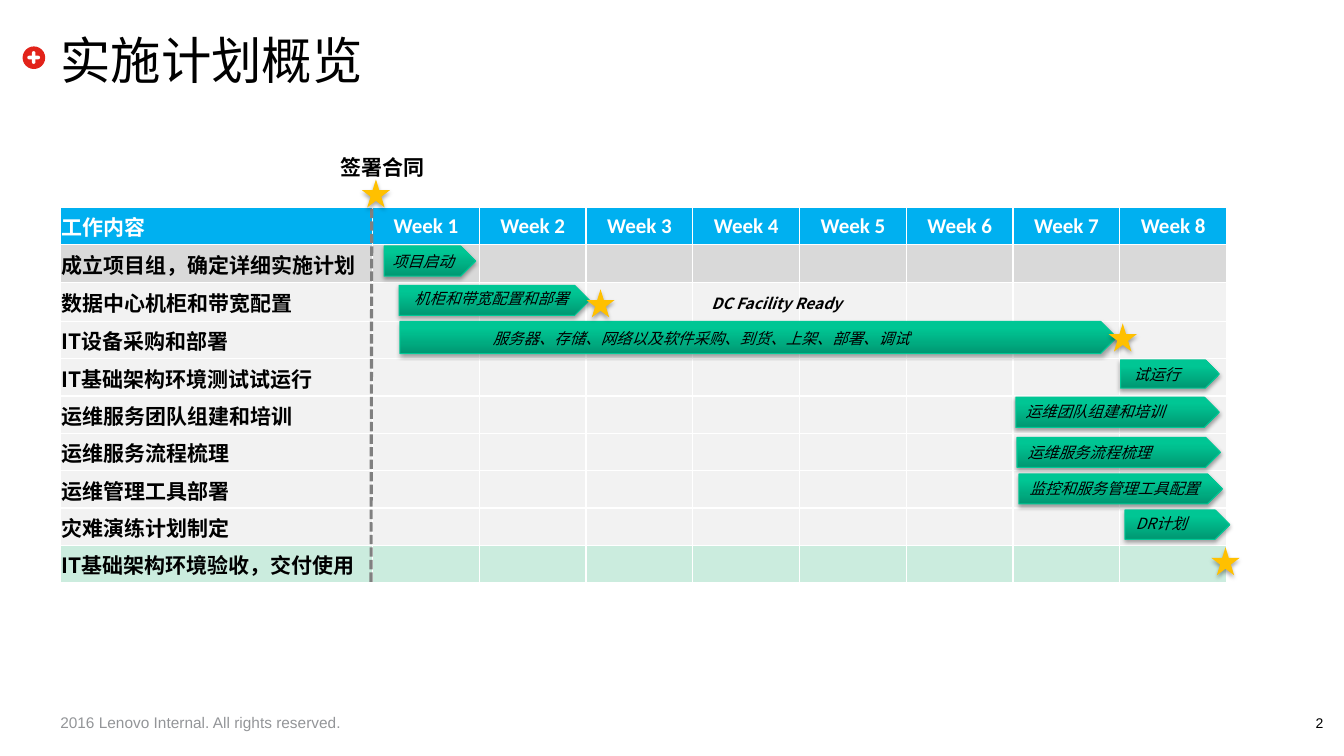
from lxml import etree
from pptx import Presentation
from pptx.dml.color import RGBColor
from pptx.enum.dml import MSO_LINE
from pptx.enum.shapes import MSO_CONNECTOR, MSO_SHAPE
from pptx.enum.text import MSO_ANCHOR, MSO_AUTO_SIZE, PP_ALIGN
from pptx.oxml.ns import qn
from pptx.util import Cm, Pt

LEFT, MID = PP_ALIGN.LEFT, PP_ALIGN.CENTER
CENTER, BOTTOM = MSO_ANCHOR.MIDDLE, MSO_ANCHOR.BOTTOM
GROW, FIXED = MSO_AUTO_SIZE.SHAPE_TO_FIT_TEXT, MSO_AUTO_SIZE.NONE
PLATE, STAR = MSO_SHAPE.PENTAGON, MSO_SHAPE.STAR_5_POINT
OVAL, ROUND = MSO_SHAPE.OVAL, MSO_SHAPE.ROUNDED_RECTANGLE
STRAIGHT, DASH = MSO_CONNECTOR.STRAIGHT, MSO_LINE.SQUARE_DOT

# Content
HEX = {"black": "000000", "white": "FFFFFF", "head": "00B0F0",
       "gray": "D9D9D9", "pale": "F2F2F2", "mint": "CBECDE",
       "deep": "009872", "green": "00C694", "edge": "00C896",
       "gold": "FFC000", "dash": "808080", "foot": "939598",
       "red": "E2231A"}
CJK, LATIN, PLAIN = "Noto Sans CJK SC", "Calibri", "Arial"
TITLE = "实施计划概览"
FOOTER = "2016 Lenovo Internal. All rights reserved."
WEEKS = 8
TASKS = [
    ("成立项目组，确定详细实施计划", "gray"),
    ("数据中心机柜和带宽配置", "pale"),
    ("IT设备采购和部署", "pale"),
    ("IT基础架构环境测试试运行", "pale"),
    ("运维服务团队组建和培训", "pale"),
    ("运维服务流程梳理", "pale"),
    ("运维管理工具部署", "pale"),
    ("灾难演练计划制定", "pale"),
    ("IT基础架构环境验收，交付使用", "mint"),
]
# Label, box of the bar, box of the label (left, top, width, height in cm)
BARS = [
    ("项目启动", (9.68, 6.2, 2.31, 0.76), (9.63, 6.25, 2.08, 0.74)),
    ("机柜和带宽配置和部署", (10.06, 7.19, 4.8, 0.76),
     (10.19, 7.19, 4.42, 0.69)),
    ("服务器、存储、网络以及软件采购、到货、上架、部署、调试",
     (10.08, 8.1, 18.06, 0.81), (12.17, 8.2, 11.1, 0.69)),
    ("试运行", (28.24, 9.07, 2.49, 0.71), (28.32, 9.09, 1.68, 0.74)),
    ("运维团队组建和培训", (25.6, 10.01, 5.13, 0.76),
     (25.6, 10.06, 4.04, 0.69)),
    ("运维服务流程梳理", (25.63, 11.02, 5.13, 0.76),
     (25.65, 11.07, 3.66, 0.69)),
    ("监控和服务管理工具配置", (25.68, 11.94, 5.13, 0.76),
     (25.7, 11.99, 4.83, 0.69)),
    ("DR计划", (28.35, 12.85, 2.64, 0.74), (28.37, 12.88, 2.62, 0.69)),
]
STARS = [(9.12, 4.52), (14.78, 7.29), (27.94, 8.15), (30.53, 13.79)]
STAR_W = 0.71
COL_ONE, COL_W, ROW_H, TALL_H = 7.87, 2.69, 0.94, 0.99


def rgb(name):
    return RGBColor.from_string(HEX[name])


def box(sizes):
    return [Cm(n) for n in sizes]


def sub(node, tag, **attrs):
    return etree.SubElement(node, qn(tag), attrs)


def style(frame, text, size, face, color="black", align=LEFT,
          bold=False, slant=False):
    frame.text = text
    par = frame.paragraphs[0]
    par.alignment = align
    run = par.runs[0]
    font = run.font
    font.size, font.name = Pt(size), face
    font.bold, font.italic = bold, slant
    font.color.rgb = rgb(color)
    sub(font._element, "a:ea", typeface=CJK)
    return par


def label(slide, text, sizes, size, face, pad=(0, 0), wrap=True,
          anchor=CENTER, fit=FIXED, space=None, **look):
    frame = slide.shapes.add_textbox(*box(sizes)).text_frame
    frame.word_wrap, frame.auto_size = wrap, fit
    frame.vertical_anchor = anchor
    frame.margin_left = frame.margin_right = Cm(pad[0])
    frame.margin_top = frame.margin_bottom = Cm(pad[1])
    par = style(frame, text, size, face, **look)
    if space:
        par.line_spacing = space


def shape(slide, kind, sizes, color=None, shade=False):
    item = slide.shapes.add_shape(kind, *box(sizes))
    item.shadow.inherit = False
    item.line.fill.background()
    if color:
        item.fill.solid()
        item.fill.fore_color.rgb = rgb(color)
    if shade:
        effect = item._element.spPr.find(qn("a:effectLst"))
        outer = sub(effect, "a:outerShdw", blurRad="39370", dist="22860",
                    dir="5400000", rotWithShape="0")
        tint = sub(outer, "a:srgbClr", val=HEX["black"])
        sub(tint, "a:alpha", val="35000")
    return item


def paint(cell, color):
    cell.fill.solid()
    cell.fill.fore_color.rgb = rgb(color)
    cell.vertical_anchor = CENTER
    cell.margin_left = cell.margin_right = cell.margin_top = Cm(0.03)
    cell.margin_bottom = 0
    props = cell._tc.get_or_add_tcPr()
    for spot, side in enumerate(("a:lnL", "a:lnR", "a:lnT", "a:lnB")):
        edge = sub(props, side, w="12700")
        sub(sub(edge, "a:solidFill"), "a:srgbClr", val=HEX["white"])
        props.insert(spot, edge)


def plan(slide):
    high = ROW_H * len(TASKS) + TALL_H
    wide = COL_ONE + COL_W * WEEKS
    table = slide.shapes.add_table(len(TASKS) + 1, WEEKS + 1,
                                   *box((1.52, 5.23, wide, high))).table
    table.horz_banding = False
    for i, col in enumerate(table.columns):
        col.width = Cm(COL_W if i else COL_ONE)
    for i, row in enumerate(table.rows):
        row.height = Cm(TALL_H if i == 2 else ROW_H)
        for cell in row.cells:
            paint(cell, TASKS[i - 1][1] if i else "head")
    heads = ["工作内容"] + [f"Week {n + 1}" for n in range(WEEKS)]
    for i, text in enumerate(heads):
        style(table.cell(0, i).text_frame, text, 15, LATIN, "white",
              MID if i else LEFT, bold=True)
    for i, (text, _) in enumerate(TASKS):
        style(table.cell(i + 1, 0).text_frame, text, 15, CJK, bold=True)


def main():
    deck = Presentation()
    deck.slide_width, deck.slide_height = Cm(33.87), Cm(19.05)
    slide = deck.slides.add_slide(deck.slide_layouts[5])

    # Title and its round plus mark
    title = slide.shapes.title
    title.left, title.top, title.width, title.height = box(
        (1.52, 0.76, 30.76, 1.45))
    frame = title.text_frame
    frame.margin_left = frame.margin_right = 0
    frame.margin_top = frame.margin_bottom = 0
    frame.vertical_anchor, frame.auto_size = CENTER, FIXED
    style(frame, TITLE, 36, CJK)
    shape(slide, OVAL, (0.57, 1.17, 0.57, 0.57), "red")
    for wide, high in ((0.32, 0.09), (0.09, 0.32)):
        bar = shape(slide, ROUND, (0.85 - wide / 2, 1.45 - high / 2,
                                   wide, high), "white")
        bar.adjustments[0] = 0.5

    # Schedule table and contract date line
    plan(slide)
    line = slide.shapes.add_connector(STRAIGHT,
                                      *box((9.37, 5.26, 9.35, 14.66)))
    line.line.color.rgb = rgb("dash")
    line.line.width, line.line.dash_style = Pt(2.25), DASH
    sub(line._element.spPr, "a:effectLst")

    # Bars with labels
    for text, area, spot in BARS:
        bar = shape(slide, PLATE, area, shade=True)
        bar.fill.gradient()
        bar.fill.gradient_angle = 90
        stops = zip(bar.fill.gradient_stops, ("deep", "green"), (0, 0.8))
        for stop, color, place in stops:
            stop.color.rgb, stop.position = rgb(color), place
        bar.line.color.rgb, bar.line.width = rgb("edge"), Pt(0.75)
        label(slide, text, spot, 11, CJK, (0.25, 0.13), wrap=False,
              fit=GROW, space=0.9, slant=True)

    # Milestones
    for left, top in STARS:
        shape(slide, STAR, (left, top, STAR_W, STAR_W), "gold", True)
    label(slide, "签署合同", (6.55, 3.76, 6.17, 0.89), 15, LATIN,
          (0.25, 0.13), fit=GROW, align=MID, bold=True)
    label(slide, "DC Facility Ready", (17.68, 7.32, 5.46, 0.69), 11, CJK,
          (0.25, 0.13), fit=GROW, space=0.9, bold=True, slant=True)

    # Footer and page number
    label(slide, FOOTER, (1.52, 17.96, 10.72, 0.48), 11, PLAIN,
          color="foot")
    label(slide, "2", (32.64, 17.75, 1.22, 0.69), 10, PLAIN,
          anchor=BOTTOM, align=MID)
    deck.save("out.pptx")


if __name__ == "__main__":
    main()
